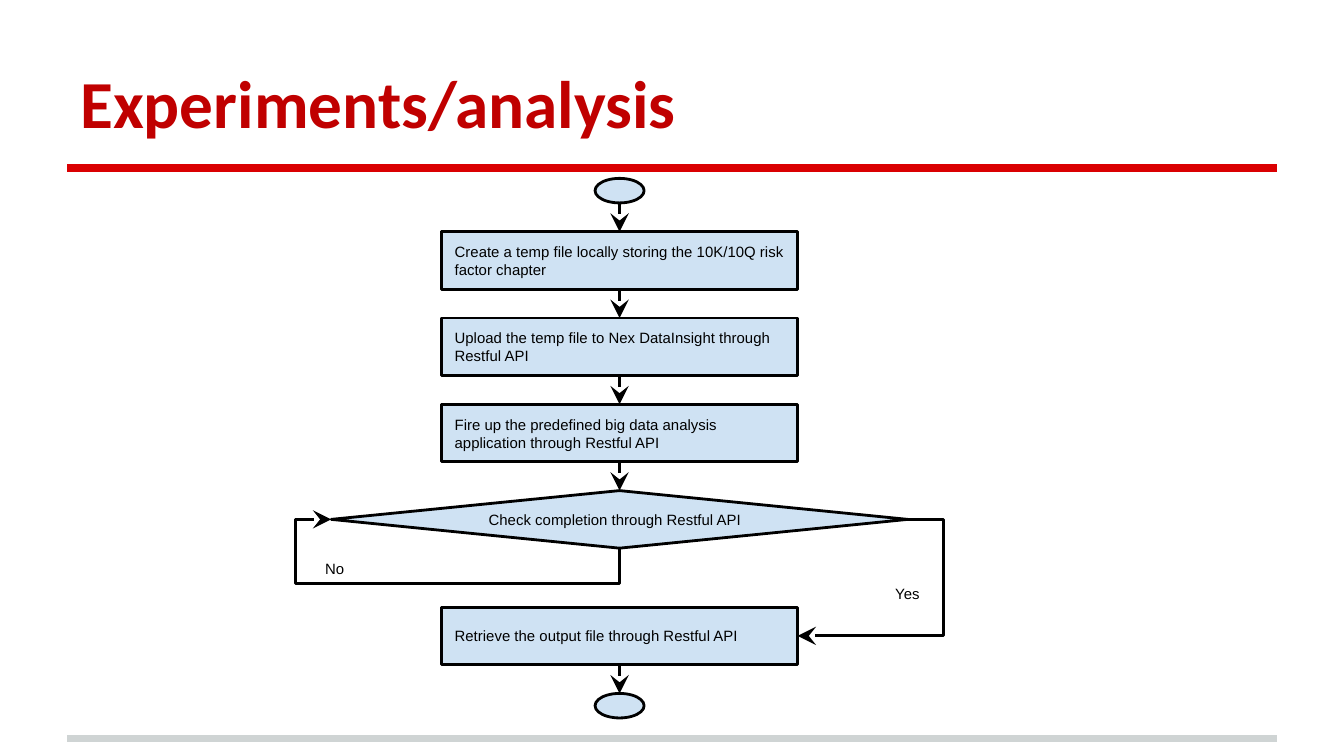
from lxml import etree
from pptx import Presentation
from pptx import util as u
from pptx.dml.color import RGBColor
from pptx.enum import shapes, text
from pptx.oxml.ns import qn

W = 10
H = W * 9 / 16
COLORS = {"title": "C00000", "rule": "DA0002", "footer": "CFD4D4",
          "node": "CFE2F3", "ink": "000000"}
CHECK_ROW, OUTPUT_ROW, END_ROW = 10, 14.05, 17.05
STEPS = [
    (1, "Create a temp file locally storing the 10K/10Q risk factor chapter"),
    (4, "Upload the temp file to Nex DataInsight through Restful API"),
    (7, "Fire up the predefined big data analysis application through Restful API"),
    (OUTPUT_ROW, "Retrieve the output file through Restful API"),
]


def rgb(name):
    return RGBColor.from_string(COLORS[name])


def write(sp, words, size=8, font="Arial", color="ink", bold=False,
          anchor=text.MSO_ANCHOR.MIDDLE):
    tf = sp.text_frame
    tf.word_wrap = True
    tf.vertical_anchor = anchor
    tf.margin_left = tf.margin_right = tf.margin_top = tf.margin_bottom = u.Inches(0.1)
    p = tf.paragraphs[0]
    p.text = words
    p.alignment = text.PP_ALIGN.LEFT
    p.font.size, p.font.name, p.font.bold = u.Pt(size), font, bold
    p.font.color.rgb = rgb(color)


def label(s, box, words, **style):
    write(s.shapes.add_textbox(*map(u.Inches, box)), words, **style)


def node(s, kind, cx, y, w, h):
    sp = s.shapes.add_shape(kind, *map(u.Inches, (cx - w / 2, y, w, h)))
    sp.shadow.inherit = False
    sp.fill.solid()
    sp.fill.fore_color.rgb = rgb("node")
    sp.line.color.rgb = rgb("ink")
    sp.line.width = u.Pt(1.5)
    return sp


def link(s, start, end, color="ink", width=1.5, arrow=None, bend=None, adjust=()):
    kind = shapes.MSO_CONNECTOR.ELBOW if bend else shapes.MSO_CONNECTOR.STRAIGHT
    c = s.shapes.add_connector(kind, *map(u.Inches, (*start, *end)))
    c.line.color.rgb = rgb(color)
    c.line.width = u.Pt(width)
    pr = c._element.spPr
    if arrow:
        etree.SubElement(pr.find(qn("a:ln")), qn(f"a:{arrow}"),
                         type="stealth", w="lg", len="lg")
    etree.SubElement(pr, qn("a:effectLst"))
    if bend:
        geom = pr.find(qn("a:prstGeom"))
        geom.set("prst", bend)
        for old in list(geom):
            geom.remove(old)
        av = etree.SubElement(geom, qn("a:avLst"))
        for i, share in enumerate(adjust, 1):
            etree.SubElement(av, qn("a:gd"), name=f"adj{i}",
                             fmla=f"val {round(share * 100000)}")


def header(s, box):
    x, y, w, h = box
    label(s, (x, y, w, h * 0.91), "Experiments/analysis", size=36, font="Calibri",
          color="title", bold=True, anchor=text.MSO_ANCHOR.BOTTOM)
    link(s, (x, y + h), (x + w, y + h), "rule", 4)


def footer(s, box):
    x, y, w, _ = box
    link(s, (x, y), (x + w, y), "footer", 4)


def flowchart(s, box):
    x, y, w, h = box
    cx, row = x + w / 2, h / END_ROW
    step_w, check_w, oval_w, oval_h = w * 0.55, w * 0.89, h * 0.1, h * 0.05
    kinds = shapes.MSO_SHAPE

    def at(r):
        return y + r * row

    for top in (y - oval_h, at(END_ROW)):
        node(s, kinds.OVAL, cx, top, oval_w, oval_h)
    for r, words in STEPS:
        write(node(s, kinds.RECTANGLE, cx, at(r), step_w, 2 * row), words)
    write(node(s, kinds.DIAMOND, cx, at(CHECK_ROW), check_w, 2 * row),
          "Check completion through Restful API")
    for r in (1, 4, 7, CHECK_ROW, END_ROW):
        link(s, (cx, at(r - 1)), (cx, at(r)), arrow="tailEnd")

    left, right = cx - check_w / 2, cx + check_w / 2
    step_right, mid = cx + step_w / 2, at(CHECK_ROW + 1)
    link(s, (left, mid), (cx, at(CHECK_ROW + 2)), arrow="headEnd",
         bend="bentConnector4", adjust=((x - left) / (cx - left), 2.22))
    link(s, (right, mid), (step_right, at(OUTPUT_ROW + 1)), arrow="tailEnd",
         bend="bentConnector3", adjust=((right - x - w) / (right - step_right),))
    top = text.MSO_ANCHOR.TOP
    label(s, (left - w * 0.03, at(12.1), w * 0.14, row), "No", anchor=top)
    label(s, (right - w * 0.04, at(12.95), w * 0.16, row), "Yes", anchor=top)


def main():
    prs = Presentation()
    prs.slide_width, prs.slide_height = u.Inches(W), u.Inches(H)
    s = prs.slides.add_slide(prs.slide_layouts[6])
    margin, width = W * 0.05, W * 0.9
    footer(s, (margin, H - 0.13, width, 0))
    header(s, (margin, 0.23, width, 1.02))
    flowchart(s, (2.2, 1.51, 4.82, 3.65))
    prs.save("out.pptx")


if __name__ == "__main__":
    main()
